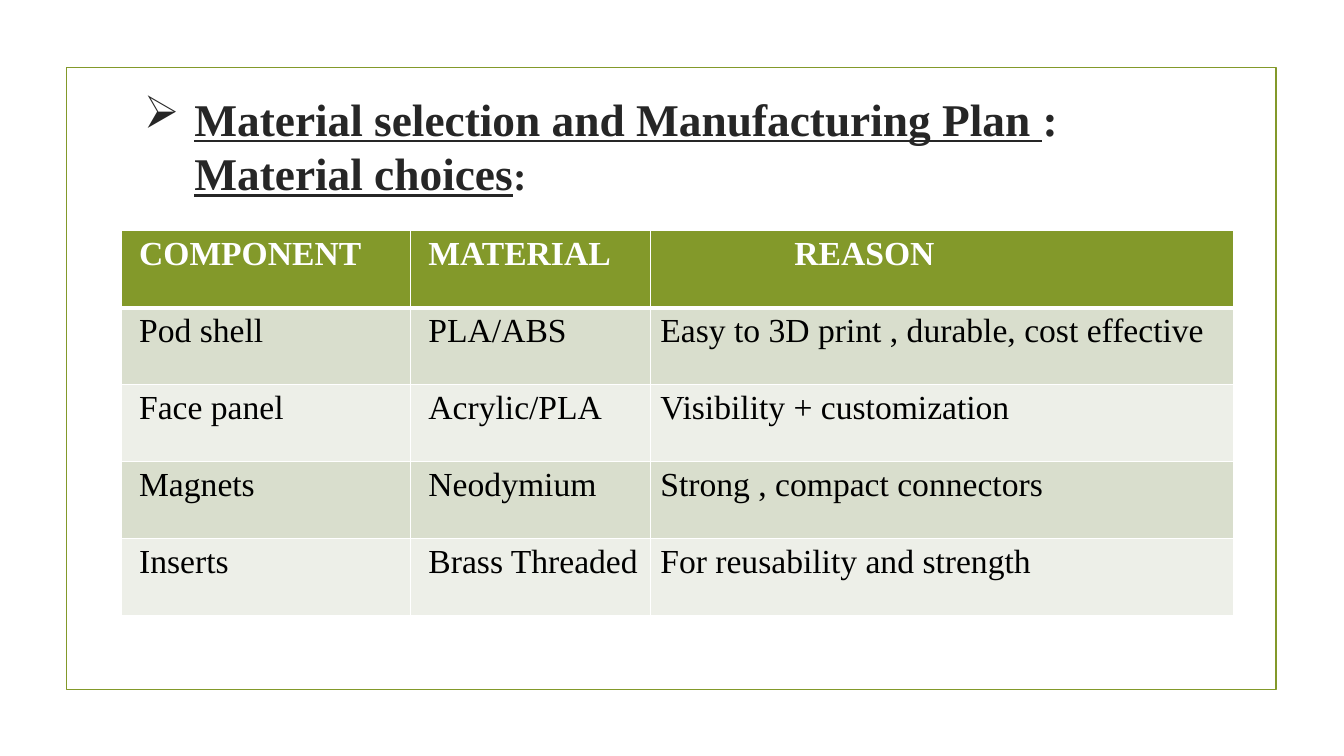
from lxml import etree
from pptx import Presentation
from pptx.dml.color import RGBColor
from pptx.enum.shapes import MSO_SHAPE
from pptx.enum.text import MSO_ANCHOR
from pptx.oxml.ns import qn
from pptx.util import Inches, Pt

RECTANGLE = MSO_SHAPE.RECTANGLE
BOTTOM = MSO_ANCHOR.BOTTOM

OLIVE = RGBColor(0x83, 0x99, 0x2A)
SAGE = RGBColor(0xD9, 0xDE, 0xCD)
PALE = RGBColor(0xED, 0xEF, 0xE8)
CHARCOAL = RGBColor(0x26, 0x26, 0x26)
BLACK = RGBColor(0x00, 0x00, 0x00)
WHITE = RGBColor(0xFF, 0xFF, 0xFF)

TITLE_SPANS = [
    ("Material selection and Manufacturing Plan ", {"underline": True}),
    (":\v", {}),
    ("Material choices", {"underline": True}),
    (":", {"size": Pt(28.8)}),
]
MATERIALS = [
    ("COMPONENT", "MATERIAL", "REASON"),
    ("Pod shell", "PLA/ABS", "Easy to 3D print , durable, cost effective"),
    ("Face panel", "Acrylic/PLA", "Visibility + customization"),
    ("Magnets", "Neodymium", "Strong , compact connectors"),
    ("Inserts", "Brass Threaded", "For reusability and strength"),
]
COLUMN_WIDTHS = (2.87, 2.38, 5.79)
HEADER_INDENTS = (0.18, 0.18, 1.43)
BODY_INDENTS = (0.18, 0.18, 0.1)
ROW_HEIGHT = 0.764


class SlideBuilder:
    font = "Times New Roman"

    def __init__(self, page):
        self.page = page

    def add_span(self, para, text, color, **formats):
        span = para.add_run()
        span.text = text
        span.font.color.rgb = color
        for name, value in {"name": self.font, **formats}.items():
            setattr(span.font, name, value)

    def add_frame(self, left, top, width, height):
        frame = self.page.shapes.add_shape(
            RECTANGLE, Inches(left), Inches(top), Inches(width), Inches(height))
        frame.shadow.inherit = False
        frame.fill.background()
        frame.line.color.rgb = OLIVE
        frame.line.width = Pt(1.25)

    def add_title(self, left, top, width, height, spans):
        box = self.page.shapes.add_textbox(
            Inches(left), Inches(top), Inches(width), Inches(height))
        box.text_frame.word_wrap = True
        box.text_frame.vertical_anchor = BOTTOM
        para = box.text_frame.paragraphs[0]
        self.add_bullet(para, "➢", Inches(0.5))
        for text, formats in spans:
            # A vertical tab marks a line break inside the paragraph.
            self.add_span(para, text.rstrip("\v"), CHARCOAL,
                          **{"size": Pt(32.4), "bold": True, **formats})
            if text.endswith("\v"):
                para.add_line_break()

    def add_bullet(self, para, symbol, indent):
        properties = para._p.get_or_add_pPr()
        properties.set("marL", str(indent))
        properties.set("indent", str(-indent))
        etree.SubElement(properties, qn("a:buChar")).set("char", symbol)

    def add_table(self, left, top, rows, widths, row_height):
        table = self.page.shapes.add_table(
            len(rows), len(widths), Inches(left), Inches(top),
            Inches(sum(widths)), Inches(row_height * len(rows))).table
        for column, width in zip(table.columns, widths):
            column.width = Inches(width)
        for index, texts in enumerate(rows):
            table.rows[index].height = Inches(row_height)
            header = index == 0
            fill = OLIVE if header else (PALE, SAGE)[index % 2]
            indents = HEADER_INDENTS if header else BODY_INDENTS
            for cell, text, indent in zip(table.rows[index].cells, texts, indents):
                cell.margin_left = Inches(indent)
                cell.margin_right = Inches(0.05)
                cell.fill.solid()
                cell.fill.fore_color.rgb = fill
                self.add_span(cell.text_frame.paragraphs[0], text,
                              WHITE if header else BLACK, size=Pt(24), bold=header)
                self.add_borders(cell, top=3 if index == 1 else 1,
                                 bottom=3 if header else 1)

    def add_borders(self, cell, top, bottom):
        """Draw white borders, placed before the cell's fill as the schema asks."""
        properties = cell._tc.get_or_add_tcPr()
        widths = {"a:lnL": 1, "a:lnR": 1, "a:lnT": top, "a:lnB": bottom}
        for position, (tag, width) in enumerate(widths.items()):
            border = etree.Element(qn(tag), w=str(Pt(width)))
            solid = etree.SubElement(border, qn("a:solidFill"))
            etree.SubElement(solid, qn("a:srgbClr")).set("val", str(WHITE))
            properties.insert(position, border)


def main():
    deck = Presentation()
    deck.slide_width = Inches(13.33)
    deck.slide_height = Inches(7.5)
    builder = SlideBuilder(deck.slides.add_slide(deck.slide_layouts[6]))
    builder.add_frame(0.66, 0.67, 12, 6.17)
    builder.add_title(1.33, 1.05, 10.14, 0.98, TITLE_SPANS)
    builder.add_table(1.2, 2.29, MATERIALS, COLUMN_WIDTHS, ROW_HEIGHT)
    deck.save("out.pptx")


if __name__ == "__main__":
    main()
